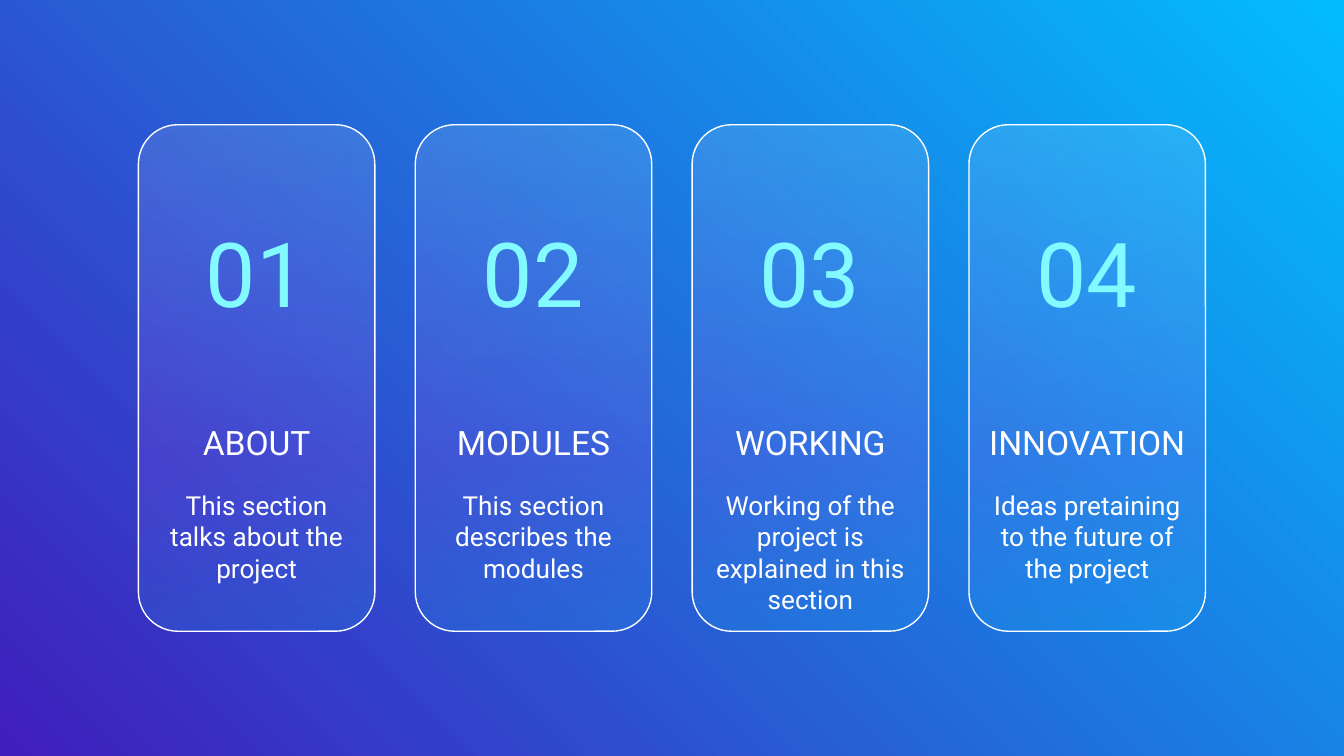
from dataclasses import dataclass

from lxml import etree
from pptx import Presentation
from pptx import util as u
from pptx.dml.color import RGBColor
from pptx.enum import shapes, text
from pptx.oxml import ns


@dataclass(frozen=True)
class Theme:
    font: str = "Roboto"
    white: str = "FFFFFF"
    aqua: str = "83FAFF"
    backdrop: tuple = ((0, "401EBB", 100), (100, "02BCFD", 100))
    glass: tuple = ((0, "FFFFFF", 11), (66, "E354F7", 11), (100, "10ECFF", 11))
    numeral_size: int = 48
    heading_size: int = 18
    summary_size: int = 14


THEME = Theme()

SECTIONS = [
    ("01", "ABOUT", "This section talks about the project"),
    ("02", "MODULES", "This section describes the modules"),
    ("03", "WORKING", "Working of the project is explained in this section"),
    ("04", "INNOVATION", "Ideas pretaining to the future of the project"),
]

FIRST_CARD = (10.3, 16.5, 17.6, 67)
CARD_PITCH = 20.6

CARD_PARTS = [
    ((5.8, 11.4, 88, 30.8), THEME.numeral_size, THEME.aqua, text.MSO_ANCHOR.BOTTOM),
    ((1.5, 52.3, 97, 17), THEME.heading_size, THEME.white, text.MSO_ANCHOR.BOTTOM),
    ((1.5, 69.3, 97, 23.9), THEME.summary_size, THEME.white, text.MSO_ANCHOR.TOP),
]


def within(box, percents):
    left, top, width, height = box
    x, y, w, h = percents
    return (
        u.Emu(int(left + width * x / 100)),
        u.Emu(int(top + height * y / 100)),
        u.Emu(int(width * w / 100)),
        u.Emu(int(height * h / 100)),
    )


def apply_format(target, values):
    for name, value in values.items():
        setattr(target, name, value)


def paint_gradient(fill, element, stops, angle):
    fill.gradient()
    fill.gradient_angle = angle
    stop_list = next(element.iter(ns.qn("a:gsLst")))
    for old_stop in list(stop_list):
        stop_list.remove(old_stop)
    for position, color, opacity in stops:
        stop = etree.SubElement(stop_list, ns.qn("a:gs"), pos=str(position * 1000))
        tint = etree.SubElement(stop, ns.qn("a:srgbClr"), val=color)
        if opacity < 100:
            etree.SubElement(tint, ns.qn("a:alpha"), val=str(opacity * 1000))


def add_label(slide, box, wording, size, color, anchor):
    frame = slide.shapes.add_textbox(*box).text_frame
    inset = u.Inches(0.1)
    apply_format(frame, {
        "word_wrap": True,
        "auto_size": text.MSO_AUTO_SIZE.NONE,
        "vertical_anchor": anchor,
        "margin_left": inset,
        "margin_right": inset,
        "margin_top": inset,
        "margin_bottom": inset,
    })
    line = frame.paragraphs[0]
    line.alignment = text.PP_ALIGN.CENTER
    run = line.add_run()
    run.text = wording
    apply_format(run.font, {"name": THEME.font, "size": u.Pt(size), "bold": False})
    run.font.color.rgb = RGBColor.from_string(color)


def add_card(slide, box, section):
    panel = slide.shapes.add_shape(shapes.MSO_SHAPE.ROUNDED_RECTANGLE, *box)
    panel.adjustments[0] = 0.167
    panel.shadow.inherit = False
    paint_gradient(panel.fill, panel._element, THEME.glass, 270)
    panel.line.color.rgb = RGBColor.from_string(THEME.white)
    panel.line.width = u.Pt(0.75)
    for wording, (area, size, color, anchor) in zip(section, CARD_PARTS):
        add_label(slide, within(box, area), wording, size, color, anchor)


def add_contents_slide(deck, box):
    slide = deck.slides.add_slide(deck.slide_layouts[6])
    paint_gradient(slide.background.fill, slide._element, THEME.backdrop, 45)
    left, top, width, height = FIRST_CARD
    for column, section in enumerate(SECTIONS):
        area = (left + column * CARD_PITCH, top, width, height)
        add_card(slide, within(box, area), section)


def main():
    deck = Presentation()
    width = u.Inches(10)
    height = u.Emu(width * 9 // 16)
    apply_format(deck, {"slide_width": width, "slide_height": height})
    add_contents_slide(deck, (0, 0, width, height))
    deck.save("out.pptx")


if __name__ == "__main__":
    main()
